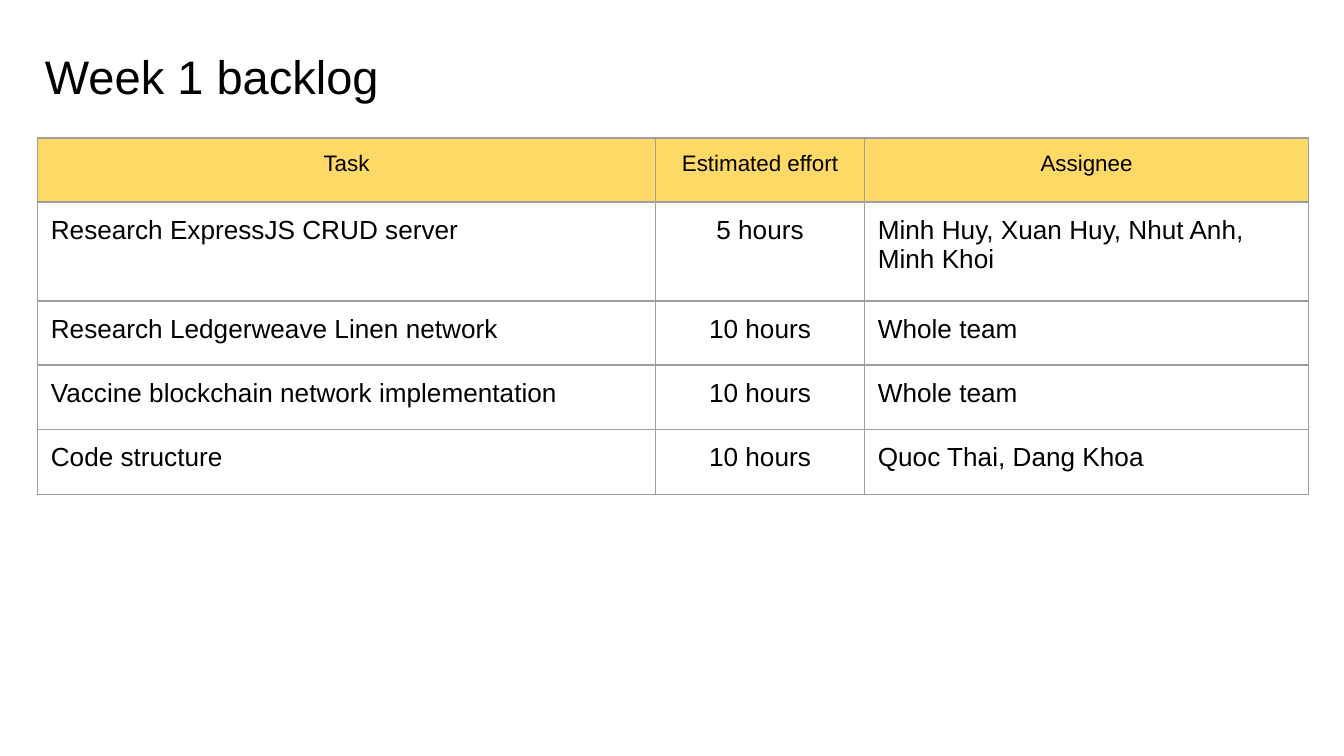
from lxml.etree import SubElement
from pptx import Presentation
from pptx.dml.color import RGBColor
from pptx.enum.text import MSO_ANCHOR as Anchor, PP_ALIGN as Align
from pptx.oxml.ns import qn
from pptx.util import Cm, Pt

TITLE = "Week 1 backlog"
HEADER = ("Task", "Estimated effort", "Assignee")
TASKS = [
    ("Research ExpressJS CRUD server", "5 hours", "Minh Huy, Xuan Huy, Nhut Anh, Minh Khoi"),
    ("Research Ledgerweave Linen network", "10 hours", "Whole team"),
    ("Vaccine blockchain network implementation", "10 hours", "Whole team"),
    ("Code structure", "10 hours", "Quoc Thai, Dang Khoa"),
]
COLUMN_WIDTHS = (11.68, 3.95, 8.39)
ROW_HEIGHTS = (1.21, 1.87, 1.21, 1.22, 1.22)
COLUMN_ALIGNS = (Align.LEFT, Align.CENTER, Align.LEFT)
INSET = Cm(0.25)
MARGINS = {f"margin_{side}": INSET for side in ("left", "right", "top", "bottom")}
BLACK, YELLOW, GREY = "000000", "FFD966", "9E9E9E"


def color(value):
    return RGBColor.from_string(value)


def apply_format(target, values):
    for name, value in values.items():
        setattr(target, name, value)


def write(frame, text, size, align=Align.LEFT):
    para = frame.paragraphs[0]
    para.alignment = align
    span = para.add_run()
    span.text = text
    apply_format(span.font, {"name": "Arial", "size": Pt(size)})
    span.font.color.rgb = color(BLACK)


def add_borders(cell):
    properties = cell._tc.get_or_add_tcPr()
    for index, side in enumerate(("lnL", "lnR", "lnT", "lnB")):
        line = properties.makeelement(qn(f"a:{side}"), {"w": str(Pt(0.75))})
        fill = SubElement(line, qn("a:solidFill"))
        SubElement(fill, qn("a:srgbClr"), {"val": GREY})
        properties.insert(index, line)


def add_title(page):
    box = page.shapes.add_textbox(Cm(0.6), Cm(0.64), Cm(23.67), Cm(1.6))
    apply_format(box.text_frame, MARGINS | {"word_wrap": True, "vertical_anchor": Anchor.TOP})
    write(box.text_frame, TITLE, 25.2)


def add_backlog(page):
    rows = [HEADER, *TASKS]
    table = page.shapes.add_table(
        len(rows), len(HEADER), Cm(0.71), Cm(2.61),
        Cm(sum(COLUMN_WIDTHS)), Cm(sum(ROW_HEIGHTS)),
    ).table
    apply_format(table, {"horz_banding": False, "first_row": False})
    for column, width in zip(table.columns, COLUMN_WIDTHS):
        column.width = Cm(width)
    for row, height in zip(table.rows, ROW_HEIGHTS):
        row.height = Cm(height)
    for row_index, texts in enumerate(rows):
        is_header = row_index == 0
        for column_index, text in enumerate(texts):
            cell = table.cell(row_index, column_index)
            apply_format(cell, MARGINS | {"vertical_anchor": Anchor.TOP})
            if is_header:
                cell.fill.solid()
                cell.fill.fore_color.rgb = color(YELLOW)
            else:
                cell.fill.background()
            add_borders(cell)
            align = Align.CENTER if is_header else COLUMN_ALIGNS[column_index]
            write(cell.text_frame, text, 12 if is_header else 14, align)


def main():
    deck = Presentation()
    apply_format(deck, {"slide_width": Cm(25.4), "slide_height": Cm(14.29)})
    page = deck.slides.add_slide(deck.slide_layouts[6])
    add_title(page)
    add_backlog(page)
    deck.save("out.pptx")


if __name__ == "__main__":
    main()
